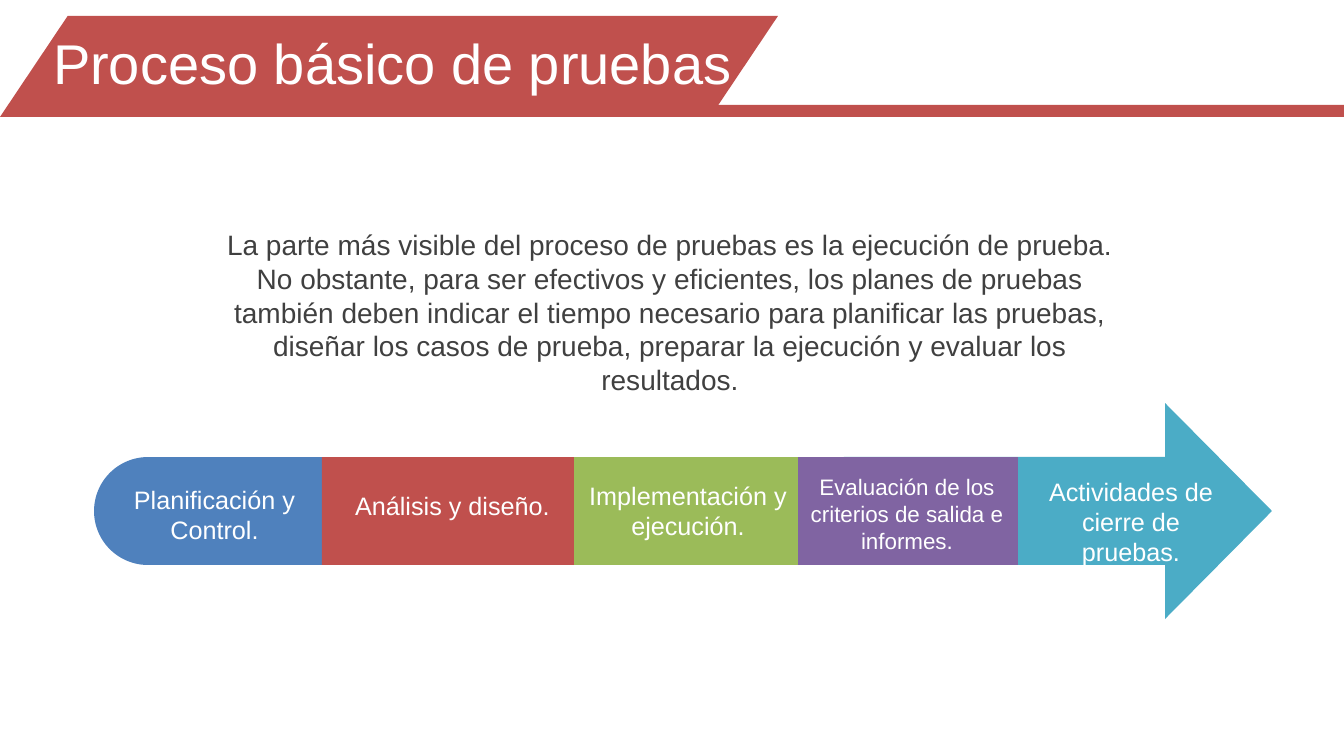
from pptx import Presentation
from pptx.dml.color import RGBColor
from pptx.enum.shapes import MSO_SHAPE as Shape
from pptx.enum.text import MSO_ANCHOR as Anchor, MSO_AUTO_SIZE as AutoSize, PP_ALIGN as Align
from pptx.util import Pt

COLORS = {
    "red": "C0504D", "blue": "4F81BD", "green": "9BBB59", "purple": "8064A2",
    "teal": "4BACC6", "white": "FFFFFF", "gray": "404040",
}
FONT = "Arial"
TITLE = "Proceso básico de pruebas"
INTRO = (
    "La parte más visible del proceso de pruebas es la ejecución de prueba. "
    "No obstante, para ser efectivos y eficientes, los planes de pruebas también "
    "deben indicar el tiempo necesario para planificar las pruebas, diseñar los "
    "casos de prueba, preparar la ejecución y evaluar los resultados."
)
# text, (left, top, width, height) in px, size in points
LABELS = [
    ("Planificación y Control.", (112, 479, 205, 72), 18),
    ("Análisis y diseño.", (338, 485, 229, 40), 18),
    ("Implementación y ejecución.", (578, 475, 220, 72), 18),
    ("Evaluación de los criterios de salida e informes.", (797, 468, 220, 119), 16),
    ("Actividades de cierre de pruebas.", (1022, 471, 218, 72), 18),
]
BAND_TOP, BAND_HEIGHT = 457, 108
START_LEFT, START_LENGTH = 94, 363
# left, right, color; each band overlaps the one drawn before it
BANDS = [(670, 1018, "purple"), (496, 798, "green"), (322, 574, "red")]
ARROW = (844, 403, 428, 216)

PX = 914400 / 100.8


def emu(lengths):
    return [round(length * PX) for length in lengths]


def add_filled(page, kind, area, color, adjustments=()):
    shape = page.shapes.add_shape(kind, *emu(area))
    shape.shadow.inherit = False
    shape.fill.solid()
    shape.fill.fore_color.rgb = RGBColor.from_string(COLORS[color])
    shape.line.fill.background()
    for index, value in enumerate(adjustments):
        shape.adjustments[index] = value
    return shape


def write(box, text, size, color, align):
    frame = box.text_frame
    frame.word_wrap = True
    frame.auto_size = AutoSize.NONE
    frame.text = text
    para = frame.paragraphs[0]
    para.alignment = align
    para.font.name = FONT
    para.font.size = Pt(size)
    para.font.color.rgb = RGBColor.from_string(COLORS[color])
    return frame


def add_header(page):
    add_filled(page, Shape.RECTANGLE, (672, 105, 672, 12), "red")
    add_filled(page, Shape.PARALLELOGRAM, (0, 16, 778, 101), "red", [0.67])
    title = page.shapes.title
    title.left, title.top, title.width, title.height = emu((43, 16, 706, 101))
    frame = write(title, TITLE, 40, "white", Align.LEFT)
    frame.vertical_anchor = Anchor.MIDDLE
    frame.paragraphs[0].line_spacing = 0.9
    page.shapes._spTree.append(title._element)  # bring the title above its banner


def add_process(page):
    # The rounded start is a tall shape turned on its side about its centre
    left = START_LEFT + (START_LENGTH - BAND_HEIGHT) / 2
    top = BAND_TOP + (BAND_HEIGHT - START_LENGTH) / 2
    start = add_filled(page, Shape.ROUND_2_SAME_RECTANGLE,
                       (left, top, BAND_HEIGHT, START_LENGTH), "blue", [0.5, 0])
    start.rotation = 270
    add_filled(page, Shape.RIGHT_ARROW, ARROW, "teal", [0.5, 0.495])
    for left, right, color in BANDS:
        add_filled(page, Shape.RECTANGLE, (left, BAND_TOP, right - left, BAND_HEIGHT), color)


def main():
    deck = Presentation()
    deck.slide_width, deck.slide_height = emu((1344, 756))
    page = deck.slides.add_slide(deck.slide_layouts[5])
    add_header(page)
    add_process(page)
    intro = page.shapes.add_textbox(*emu((212, 223, 916, 179)))
    write(intro, INTRO, 20, "gray", Align.CENTER)
    for text, area, size in LABELS:
        write(page.shapes.add_textbox(*emu(area)), text, size, "white", Align.CENTER)
    deck.save("out.pptx")


if __name__ == "__main__":
    main()
